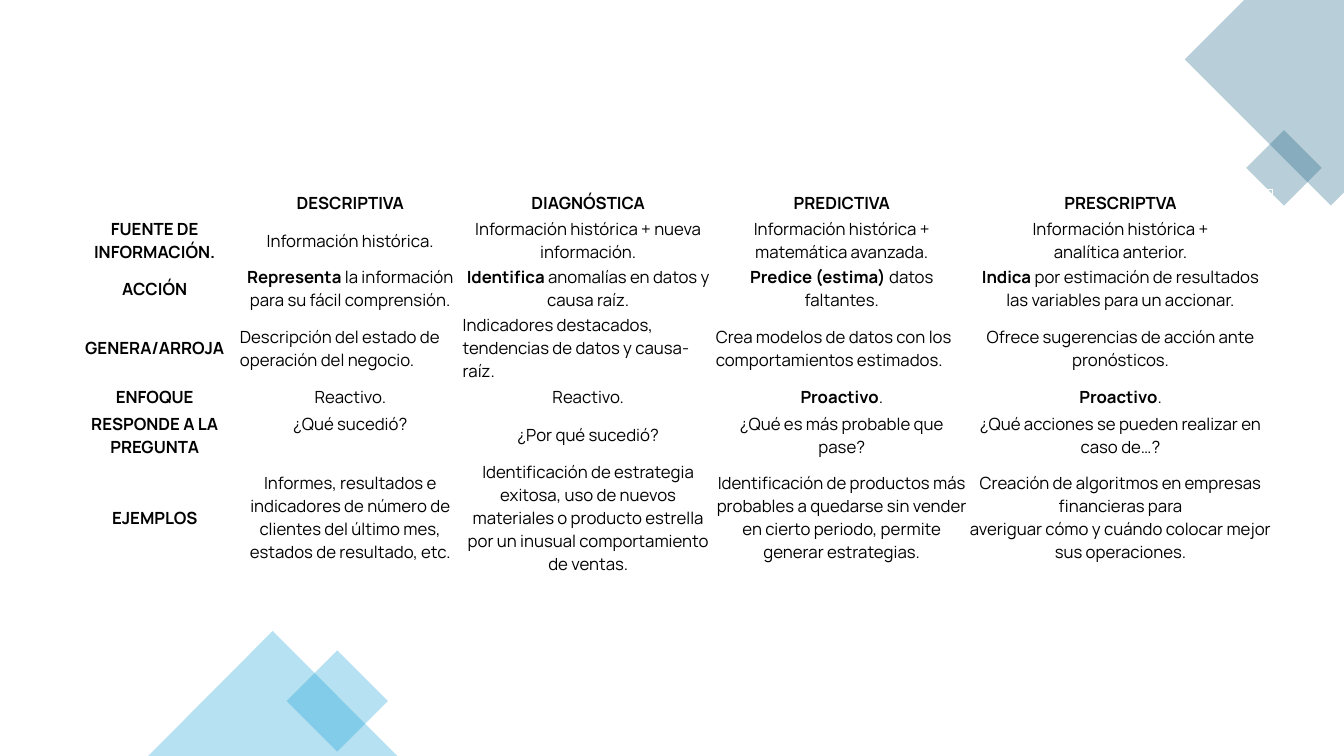
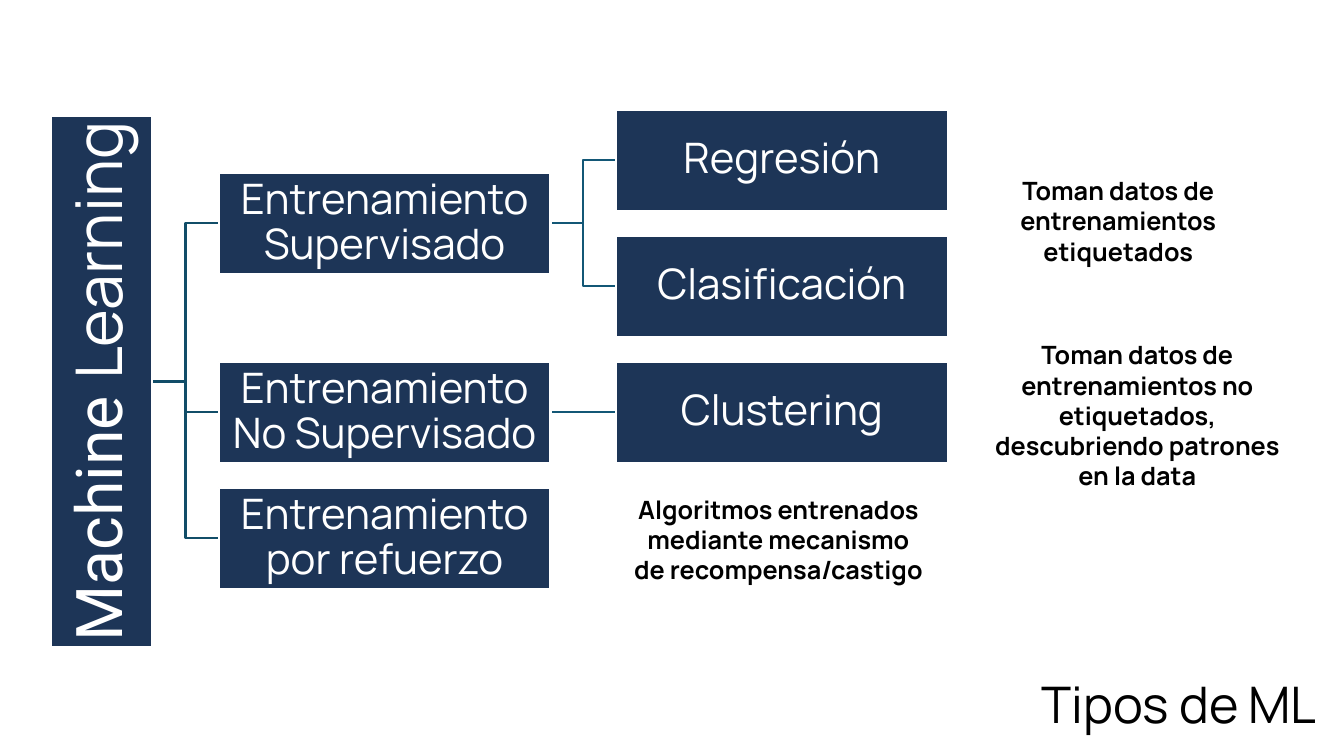
from typing import NamedTuple

from lxml import etree
from pptx import Presentation
from pptx.dml.color import RGBColor
from pptx.enum.shapes import MSO_CONNECTOR, MSO_SHAPE
from pptx.enum.text import MSO_ANCHOR, MSO_AUTO_SIZE, PP_ALIGN
from pptx.oxml.ns import qn
from pptx.shapes.autoshape import Shape
from pptx.slide import Slide
from pptx.text.text import Font, TextFrame
from pptx.util import Inches, Pt

RECTANGLE, TRIANGLE = MSO_SHAPE.RECTANGLE, MSO_SHAPE.ISOSCELES_TRIANGLE
ELBOW, STRAIGHT = MSO_CONNECTOR.ELBOW, MSO_CONNECTOR.STRAIGHT
LEFT, CENTER, RIGHT = PP_ALIGN.LEFT, PP_ALIGN.CENTER, PP_ALIGN.RIGHT
TOP, MIDDLE = MSO_ANCHOR.TOP, MSO_ANCHOR.MIDDLE
NO_AUTOFIT = MSO_AUTO_SIZE.NONE

FONT = "Manrope"
ROOT_FONT = "Roboto"
BLACK, WHITE, NAVY = "000000", "FFFFFF", "1D3557"
TEAL, SKY = "156082", "0F9ED5"
TRUNK_LINE, BRANCH_LINE = "114D68", "135776"
OPACITY = 30

LEFT_SIDE, RIGHT_SIDE = 1, 3
LEVEL_X = (2.17, 6.11)
FIRST_ROW_Y, ROW_PITCH = 1.09, 1.25
BOX_WIDTH, BOX_HEIGHT = 3.29, 1.0


class Ornament(NamedTuple):
    preset: MSO_SHAPE
    x: float
    y: float
    width: float
    height: float
    rotation: float
    color: str


class Entry(NamedTuple):
    text: str
    lead: str = ""
    align: PP_ALIGN = CENTER
    anchor: MSO_ANCHOR = MIDDLE


class Topic(NamedTuple):
    text: str
    level: int
    row: float


class Note(NamedTuple):
    text: str
    x: float
    y: float
    height: float


class Link(NamedTuple):
    source: str
    target: str
    color: str
    route: MSO_CONNECTOR = ELBOW


CORNER = [(13.33, 0), (12.34, 0), (11.75, 0.59), (13.2, 2.04), (13.33, 1.91)]
ORNAMENTS = [
    Ornament(RECTANGLE, 12.47, 1.4, 0.53, 0.53, 315, TEAL),
    Ornament(RECTANGLE, 2.99, 6.6, 0.71, 0.71, 45, SKY),
    Ornament(TRIANGLE, 1.47, 6.26, 2.47, 1.24, 0, SKY),
]

COLUMN_WIDTHS = (1.67, 2.21, 2.51, 2.52, 3.01)
ROW_HEIGHTS = (0.27, 0.47, 0.47, 0.68, 0.27, 0.47, 1.09)
ANALYTICS = [
    [Entry(""), Entry("", "DESCRIPTIVA"), Entry("", "DIAGNÓSTICA"),
     Entry("", "PREDICTIVA"), Entry("", "PRESCRIPTVA")],
    [Entry("", "FUENTE DE INFORMACIÓN."),
     Entry("Información histórica."),
     Entry("Información histórica + nueva información."),
     Entry("Información histórica + matemática avanzada."),
     Entry("Información histórica +\nanalítica anterior.")],
    [Entry("", "ACCIÓN"),
     Entry(" la información para su fácil comprensión.", "Representa"),
     Entry(" anomalías en datos y causa raíz.", "Identifica"),
     Entry(" datos faltantes.", "Predice (estima)"),
     Entry("por estimación de resultados las variables para un accionar.", "Indica ")],
    [Entry("", "GENERA/ARROJA"),
     Entry("Descripción del estado de operación del negocio.", align=LEFT),
     Entry("Indicadores destacados, tendencias de datos y causa-raíz.", align=LEFT),
     Entry("Crea modelos de datos con los comportamientos estimados.", align=LEFT),
     Entry("Ofrece sugerencias de acción ante pronósticos.")],
    [Entry("", "ENFOQUE"), Entry("Reactivo."), Entry("Reactivo."),
     Entry(".", "Proactivo"), Entry(".", "Proactivo")],
    [Entry("", "RESPONDE A LA PREGUNTA"),
     Entry("¿Qué sucedió?", anchor=TOP),
     Entry("¿Por qué sucedió?"),
     Entry("¿Qué es más probable que pase?"),
     Entry("¿Qué acciones se pueden realizar en caso de…?")],
    [Entry("", "EJEMPLOS"),
     Entry("Informes, resultados e indicadores de número de clientes del último mes, "
           "estados de resultado, etc."),
     Entry("Identificación de estrategia exitosa, uso de nuevos materiales o producto "
           "estrella por un inusual comportamiento de ventas."),
     Entry("Identificación de productos más probables a quedarse sin vender en cierto "
           "periodo, permite generar estrategias."),
     Entry("Creación de algoritmos en empresas financieras para\n"
           "averiguar cómo y cuándo colocar mejor sus operaciones.")],
]

ROOT = "Machine Learning"
SUPERVISED = "Entrenamiento Supervisado"
UNSUPERVISED = "Entrenamiento No Supervisado"
REINFORCEMENT = "Entrenamiento por refuerzo"
REGRESSION, CLASSIFICATION, CLUSTERING = "Regresión", "Clasificación", "Clustering"
TOPICS = [
    Topic(SUPERVISED, 0, 0.5),
    Topic(REGRESSION, 1, 0),
    Topic(CLASSIFICATION, 1, 1),
    Topic(UNSUPERVISED, 0, 2),
    Topic(CLUSTERING, 1, 2),
    Topic(REINFORCEMENT, 0, 3),
]
LINKS = [
    Link(ROOT, SUPERVISED, TRUNK_LINE),
    Link(ROOT, UNSUPERVISED, TRUNK_LINE),
    Link(ROOT, REINFORCEMENT, TRUNK_LINE),
    Link(SUPERVISED, REGRESSION, BRANCH_LINE),
    Link(SUPERVISED, CLASSIFICATION, BRANCH_LINE),
    Link(UNSUPERVISED, CLUSTERING, BRANCH_LINE, STRAIGHT),
]
NOTES = [
    Note("Toman datos de entrenamientos etiquetados", 9.55, 1.69, 1.01),
    Note("Toman datos de entrenamientos no etiquetados, descubriendo patrones en la data",
         9.74, 3.32, 1.62),
    Note("Algoritmos entrenados mediante mecanismo de recompensa/castigo",
         6.18, 4.85, 1.01),
]


def rgb(color: str) -> RGBColor:
    return RGBColor.from_string(color)


def set_font(font: Font, size: float, color: str = BLACK, bold: bool = False) -> None:
    font.name = FONT
    font.size = Pt(size)
    font.bold = bold
    font.color.rgb = rgb(color)


def set_margins(target: TextFrame, inset: float) -> None:
    target.margin_left = target.margin_right = Inches(inset)
    target.margin_top = target.margin_bottom = Inches(inset)


def tint(shape: Shape, color: str) -> None:
    shape.shadow.inherit = False
    shape.fill.solid()
    shape.fill.fore_color.rgb = rgb(color)
    shape.line.fill.background()
    swatch = shape.fill._xPr.find(qn("a:solidFill"))[0]
    etree.SubElement(swatch, qn("a:alpha"), val=str(OPACITY * 1000))


def add_ornaments(slide: Slide) -> None:
    start, *others = [(Inches(x), Inches(y)) for x, y in CORNER]
    outline = slide.shapes.build_freeform(*start)
    outline.add_line_segments(others, close=True)
    tint(outline.convert_to_shape(), TEAL)
    for item in ORNAMENTS:
        ornament = slide.shapes.add_shape(
            item.preset, Inches(item.x), Inches(item.y),
            Inches(item.width), Inches(item.height))
        ornament.rotation = item.rotation
        tint(ornament, item.color)


def write_entry(frame: TextFrame, entry: Entry) -> None:
    for index, line in enumerate(entry.text.split("\n")):
        paragraph = frame.add_paragraph() if index else frame.paragraphs[0]
        paragraph.alignment = entry.align
        set_font(paragraph.font, 12, bold=bool(entry.lead) and not line)
        if entry.lead:
            lead = paragraph.add_run()
            lead.text = entry.lead
            if line:
                lead.font.bold = True
        if line:
            paragraph.add_run().text = line
        if not line and not entry.lead:
            etree.SubElement(paragraph._p, qn("a:endParaRPr"), sz="1200")


def add_analytics_table(slide: Slide) -> None:
    table = slide.shapes.add_table(
        len(ROW_HEIGHTS), len(COLUMN_WIDTHS), Inches(0.7), Inches(1.88),
        Inches(sum(COLUMN_WIDTHS)), Inches(sum(ROW_HEIGHTS))).table
    table.first_row = table.horz_banding = False
    for column, width in zip(table.columns, COLUMN_WIDTHS):
        column.width = Inches(width)
    for row, height, entries in zip(table.rows, ROW_HEIGHTS, ANALYTICS):
        row.height = Inches(height)
        for cell, entry in zip(row.cells, entries):
            cell.fill.background()
            cell.vertical_anchor = entry.anchor
            set_margins(cell, 0.01)
            write_entry(cell.text_frame, entry)


def add_box(slide: Slide, x: float, y: float, width: float, height: float,
            words: list[str], size: float, inset: float) -> Shape:
    box = slide.shapes.add_shape(
        RECTANGLE, Inches(x), Inches(y), Inches(width), Inches(height))
    box.shadow.inherit = False
    box.fill.solid()
    box.fill.fore_color.rgb = rgb(NAVY)
    box.line.color.rgb = rgb(WHITE)
    box.line.width = Pt(1.5)
    frame = box.text_frame
    frame.word_wrap = True
    frame.vertical_anchor = MIDDLE
    set_margins(frame, inset)
    paragraph = frame.paragraphs[0]
    paragraph.alignment = CENTER
    paragraph.line_spacing = 0.9
    set_font(paragraph.font, size, WHITE)
    for word in words:
        paragraph.add_run().text = word
    return box


def add_link(slide: Slide, link: Link, boxes: dict[str, Shape]) -> None:
    connector = slide.shapes.add_connector(link.route, 0, 0, 0, 0)
    connector.begin_connect(boxes[link.source], RIGHT_SIDE)
    connector.end_connect(boxes[link.target], LEFT_SIDE)
    connector.line.color.rgb = rgb(link.color)
    connector.line.width = Pt(1.5)
    etree.SubElement(connector.element.spPr, qn("a:effectLst"))
    slide.shapes.element.insert(2, connector.element)


def add_learning_tree(slide: Slide) -> None:
    root = add_box(slide, 0.51, 1.15, 1, 5.27, ["Machine ", "Learning"], 46, 0.03)
    root.element.txBody.bodyPr.set("vert", "vert270")
    root.text_frame.paragraphs[0].runs[0].font.name = ROOT_FONT
    boxes = {ROOT: root}
    for topic in TOPICS:
        boxes[topic.text] = add_box(
            slide, LEVEL_X[topic.level], FIRST_ROW_Y + ROW_PITCH * topic.row,
            BOX_WIDTH, BOX_HEIGHT, [topic.text], 30, 0.02)
    for link in LINKS:
        add_link(slide, link, boxes)


def add_note(slide: Slide, note: Note) -> None:
    frame = slide.shapes.add_textbox(
        Inches(note.x), Inches(note.y), Inches(3.08), Inches(note.height)).text_frame
    frame.word_wrap = True
    paragraph = frame.paragraphs[0]
    paragraph.text = note.text
    paragraph.alignment = CENTER
    set_font(paragraph.font, 18, bold=True)


def set_title(slide: Slide, text: str) -> None:
    title = slide.shapes.title
    title.left, title.top = Inches(5.35), Inches(6.59)
    title.width, title.height = Inches(7.81), Inches(0.86)
    frame = title.text_frame
    frame.auto_size = NO_AUTOFIT
    frame.vertical_anchor = MIDDLE
    paragraph = frame.paragraphs[0]
    paragraph.text = text
    paragraph.alignment = RIGHT
    paragraph.line_spacing = 0.9
    set_font(paragraph.font, 36)


def main() -> None:
    deck = Presentation()
    deck.slide_width, deck.slide_height = Inches(13.33), Inches(7.5)
    title_only, blank = deck.slide_layouts[5], deck.slide_layouts[6]

    analytics = deck.slides.add_slide(blank)
    add_ornaments(analytics)
    add_analytics_table(analytics)

    learning = deck.slides.add_slide(title_only)
    set_title(learning, "Tipos de ML")
    add_learning_tree(learning)
    for note in NOTES:
        add_note(learning, note)

    deck.save("out.pptx")


if __name__ == "__main__":
    main()
